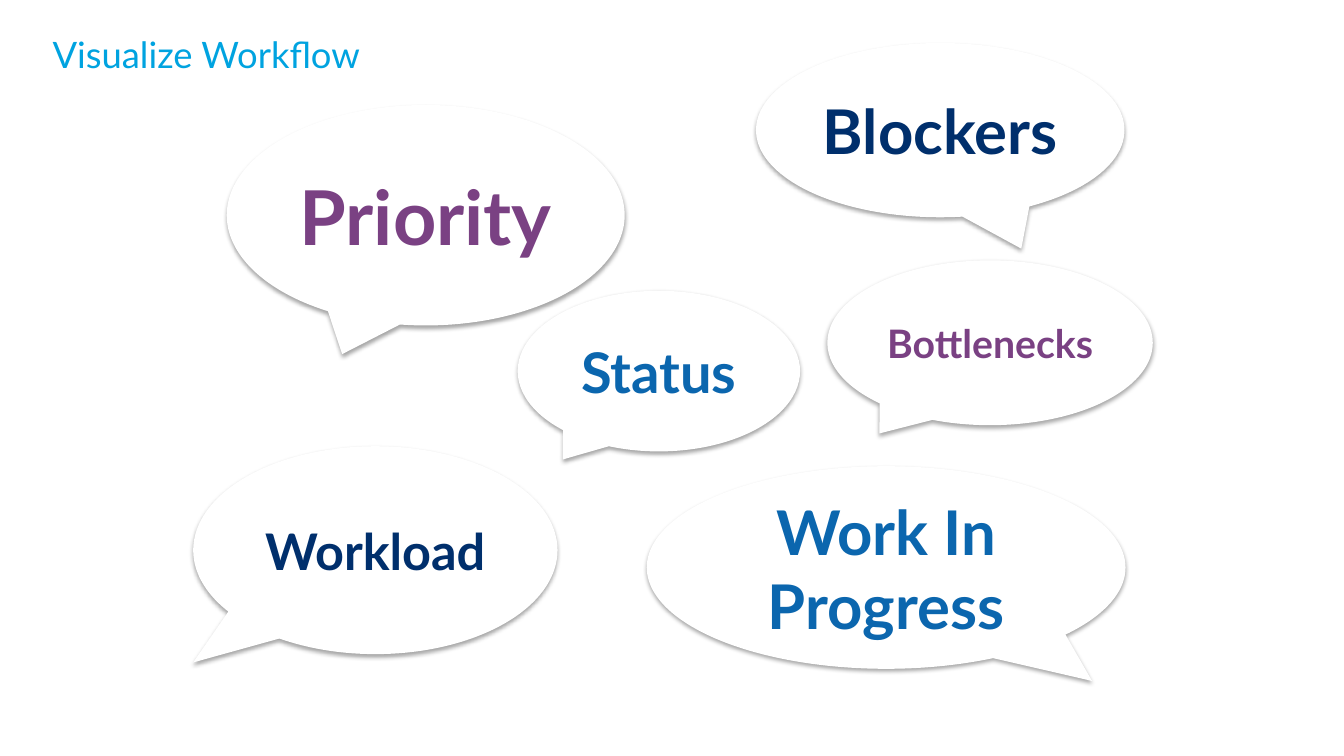
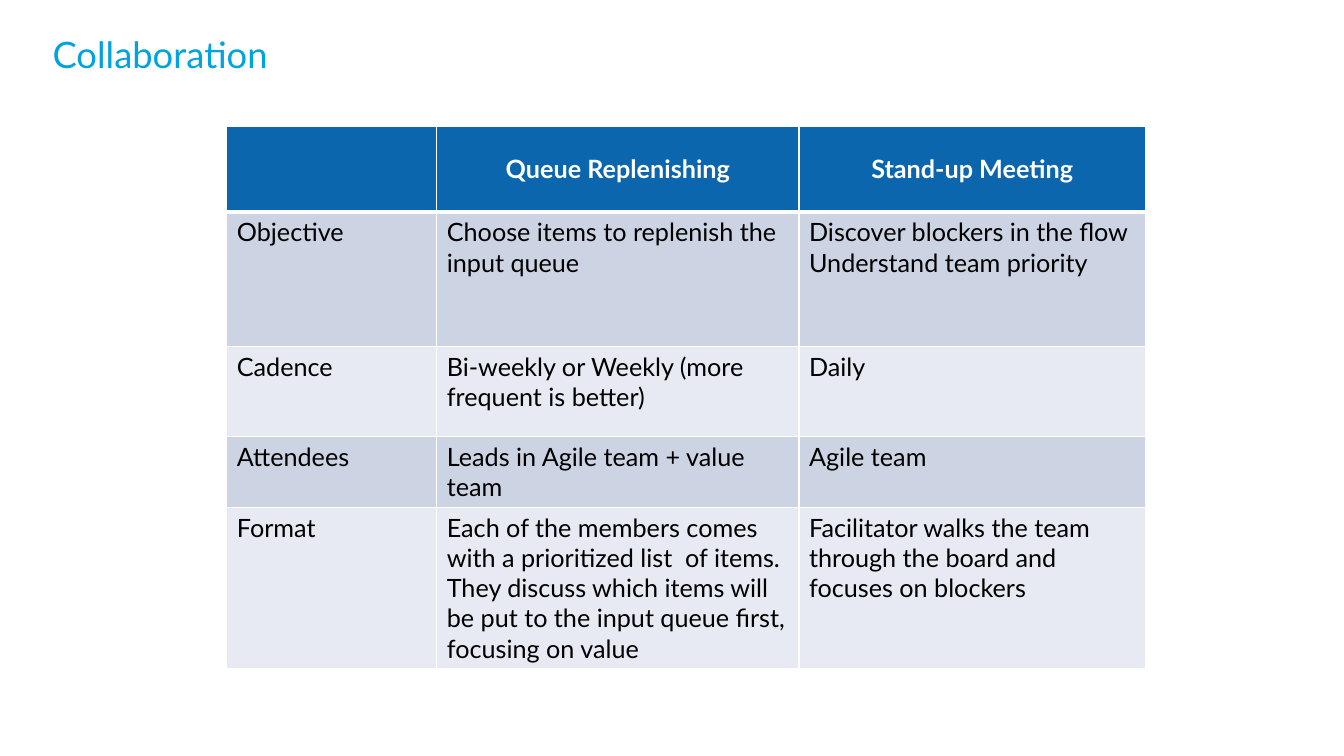
from dataclasses import dataclass

from lxml import etree
from pptx import Presentation
from pptx import util as u
from pptx.dml import color
from pptx.enum import shapes, text
from pptx.oxml import ns

EMU_PER_PX = 9525
PAGE_SIZE = (1280, 720)
TITLE_BOX = (50, 31, 1180, 80)


@dataclass(frozen=True)
class Theme:
    font: str = "Lato"
    sky: str = "00A3E0"
    blue: str = "0B66AE"
    navy: str = "002F6C"
    purple: str = "7A4183"
    white: str = "FFFFFF"
    black: str = "000000"
    band_dark: str = "CCD3E3"
    band_light: str = "E7EAF2"
    title_size: int = 26
    table_size: int = 18
    rule: int = 1
    header_rule: int = 3


THEME = Theme()

BUBBLES = [
    ("Priority", (216, 100, 379, 210), (-0.21, 0.63), 54, THEME.purple),
    ("Blockers", (720, 41, 351, 166), (0.22, 0.68), 44, THEME.navy),
    ("Work In Progress", (616, 444, 456, 193), (0.43, 0.56), 44, THEME.blue),
    ("Workload", (184, 425, 347, 198), (-0.5, 0.54), 36, THEME.navy),
    ("Status", (493, 277, 269, 153), (-0.34, 0.55), 40, THEME.blue),
    ("Bottlenecks", (788, 248, 310, 157), (-0.34, 0.55), 28, THEME.purple),
]

TABLE_BOX = (216, 120, 875, 516)
COLUMN_WIDTHS = (200, 345, 330)
ROW_HEIGHTS = (82, 128, 86, 67, 153)
MEETINGS = [
    ("", "Queue Replenishing", "Stand-up Meeting"),
    (
        "Objective",
        "Choose items to replenish the input queue",
        "Discover blockers in the flow\nUnderstand team priority",
    ),
    ("Cadence", "Bi-weekly or Weekly (more frequent is better)", "Daily"),
    ("Attendees", "Leads in Agile team + value team", "Agile team"),
    (
        "Format",
        "Each of the members comes with a prioritized list  of items.  "
        "They discuss which items will be put to the input queue first, focusing on value",
        "Facilitator walks the team through the board and focuses on blockers",
    ),
]


def px(length):
    return u.Emu(length * EMU_PER_PX)


def place(box):
    return [px(length) for length in box]


def rgb(value):
    return color.RGBColor.from_string(value)


def write(frame, words, size, ink, bold=False, align=text.PP_ALIGN.LEFT):
    frame.text = words
    for para in frame.paragraphs:
        para.alignment = align
        for span in para.runs:
            span.font.name = THEME.font
            span.font.size = u.Pt(size)
            span.font.bold = bold
            span.font.color.rgb = rgb(ink)


def add_node(parent, tag, **attributes):
    values = {key: str(value) for key, value in attributes.items()}
    return etree.SubElement(parent, ns.qn(tag), values)


def add_shadow(shape):
    shape.shadow.inherit = False
    effects = shape.element.spPr.find(ns.qn("a:effectLst"))
    shadow = add_node(effects, "a:outerShdw", blurRad=40000, dist=23000,
                      dir=5400000, rotWithShape=0)
    shade = add_node(shadow, "a:srgbClr", val=THEME.black)
    add_node(shade, "a:alpha", val=35000)


def add_borders(cell, top, bottom):
    properties = cell._tc.get_or_add_tcPr()
    sides = {"L": THEME.rule, "R": THEME.rule, "T": top, "B": bottom}
    for side, width in sides.items():
        line = add_node(properties, f"a:ln{side}", w=u.Pt(width))
        fill = add_node(line, "a:solidFill")
        add_node(fill, "a:srgbClr", val=THEME.white)


def add_page(deck, title):
    page = deck.slides.add_slide(deck.slide_layouts[6])
    frame = page.shapes.add_textbox(*place(TITLE_BOX)).text_frame
    frame.word_wrap = True
    frame.margin_left = frame.margin_right = 0
    frame.margin_top = frame.margin_bottom = 0
    write(frame, title, THEME.title_size, THEME.sky)
    return page


def add_bubble(page, words, box, tail, size, ink):
    bubble = page.shapes.add_shape(shapes.MSO_SHAPE.OVAL_CALLOUT, *place(box))
    bubble.adjustments[0], bubble.adjustments[1] = tail
    bubble.fill.solid()
    bubble.fill.fore_color.rgb = rgb(THEME.white)
    bubble.line.fill.background()
    add_shadow(bubble)
    frame = bubble.text_frame
    frame.word_wrap = True
    frame.vertical_anchor = text.MSO_ANCHOR.MIDDLE
    write(frame, words, size, ink, True, text.PP_ALIGN.CENTER)


def fill_cell(cell, words, row):
    header = row == 0
    add_borders(
        cell,
        THEME.header_rule if row == 1 else THEME.rule,
        THEME.header_rule if header else THEME.rule,
    )
    band = THEME.band_dark if row % 2 else THEME.band_light
    cell.fill.solid()
    cell.fill.fore_color.rgb = rgb(THEME.blue if header else band)
    if header:
        cell.vertical_anchor = text.MSO_ANCHOR.MIDDLE
        write(cell.text_frame, words, THEME.table_size, THEME.white,
              True, text.PP_ALIGN.CENTER)
    else:
        write(cell.text_frame, words, THEME.table_size, THEME.black)


def add_meeting_table(page, box):
    table = page.shapes.add_table(
        len(ROW_HEIGHTS), len(COLUMN_WIDTHS), *place(box)
    ).table
    for column, width in zip(table.columns, COLUMN_WIDTHS):
        column.width = px(width)
    for row, height in zip(table.rows, ROW_HEIGHTS):
        row.height = px(height)
    for row, entries in enumerate(MEETINGS):
        for column, words in enumerate(entries):
            fill_cell(table.cell(row, column), words, row)


def build_workflow(deck):
    page = add_page(deck, "Visualize Workflow")
    for bubble in BUBBLES:
        add_bubble(page, *bubble)


def build_collaboration(deck):
    page = add_page(deck, "Collaboration")
    add_meeting_table(page, TABLE_BOX)


def main():
    deck = Presentation()
    deck.slide_width, deck.slide_height = place(PAGE_SIZE)
    build_workflow(deck)
    build_collaboration(deck)
    deck.save("out.pptx")


if __name__ == "__main__":
    main()
